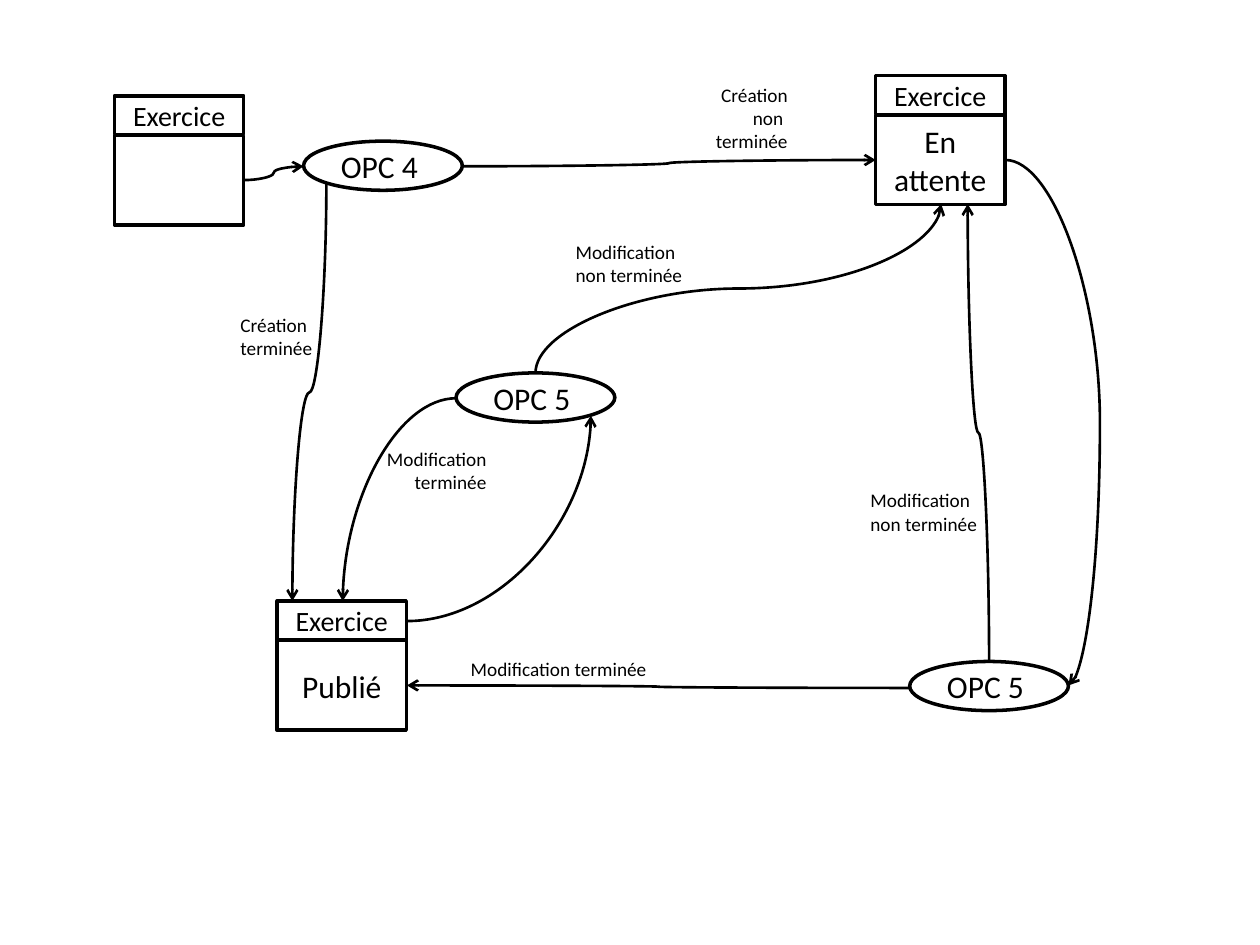
import pptx
import pptx.util
import pptx.dml.color
import pptx.enum.shapes
import pptx.enum.text
import pptx.oxml.ns
import lxml.etree

COLUMNS, ROWS = 100, 75
CELL = pptx.util.Inches(0.1)
FONT = "Calibri"
BLACK, WHITE = "000000", "FFFFFF"
LEFT = pptx.enum.text.PP_ALIGN.LEFT
CENTER = pptx.enum.text.PP_ALIGN.CENTER
RIGHT = pptx.enum.text.PP_ALIGN.RIGHT
RECTANGLE = pptx.enum.shapes.MSO_SHAPE.RECTANGLE
OVAL = pptx.enum.shapes.MSO_SHAPE.OVAL
STATE_WIDTH, HEADER_HEIGHT, BODY_OFFSET, BODY_HEIGHT = 10.25, 3.1, 3.15, 7.1
OPERATION_WIDTH, OPERATION_HEIGHT = 12.6, 3.9
HEADINGS = {"right": (0, 1, 0), "down": (90, 0, 1), "left": (180, -1, 0), "up": (270, 0, -1)}


def grid(*cells):
    return [round(cell * CELL) for cell in cells]


def color(value):
    return pptx.dml.color.RGBColor.from_string(value)


def set_line(line, points):
    line.color.rgb = color(BLACK)
    line.width = pptx.util.Pt(points)


def write(frame, lines, size, alignment):
    frame.word_wrap = True
    for index, text in enumerate(lines):
        paragraph = frame.paragraphs[0] if index == 0 else frame.add_paragraph()
        paragraph.alignment = alignment
        run = paragraph.add_run()
        run.text = text
        run.font.name = FONT
        run.font.size = pptx.util.Pt(size)
        run.font.color.rgb = color(BLACK)


def add_node(slide, kind, left, top, width, height, text, size):
    shape = slide.shapes.add_shape(kind, *grid(left, top, width, height))
    shape.shadow.inherit = False
    shape.fill.solid()
    shape.fill.fore_color.rgb = color(WHITE)
    set_line(shape.line, 2)
    shape.text_frame.vertical_anchor = pptx.enum.text.MSO_ANCHOR.MIDDLE
    if text:
        write(shape.text_frame, [text], size, CENTER)


def add_state(slide, left, top, state):
    add_node(slide, RECTANGLE, left, top, STATE_WIDTH, HEADER_HEIGHT, "Exercice", 16)
    add_node(slide, RECTANGLE, left, top + BODY_OFFSET, STATE_WIDTH, BODY_HEIGHT, state, 18)


def add_operation(slide, left, top, text):
    add_node(slide, OVAL, left, top, OPERATION_WIDTH, OPERATION_HEIGHT, text, 18)


def add_label(slide, left, top, width, height, lines, alignment):
    box = slide.shapes.add_textbox(*grid(left, top, width, height))
    write(box.text_frame, lines, 11, alignment)
    box.text_frame.auto_size = pptx.enum.text.MSO_AUTO_SIZE.SHAPE_TO_FIT_TEXT


def add_curve(slide, start, end, heading, geometry="curvedConnector3", bend=None):
    angle, across, down = HEADINGS[heading]
    run, rise = end[0] - start[0], end[1] - start[1]
    width, height = (abs(run), abs(rise)) if across else (abs(rise), abs(run))
    left = (start[0] + end[0] - width) / 2
    top = (start[1] + end[1] - height) / 2
    connector = slide.shapes.add_connector(
        pptx.enum.shapes.MSO_CONNECTOR.CURVE, *grid(left, top, left + width, top + height))
    set_line(connector.line, 1.5)
    name = pptx.oxml.ns.qn
    properties = connector._element.spPr
    transform = properties.find(name("a:xfrm"))
    if angle:
        transform.set("rot", str(angle * 60000))
    if across * rise - down * run < 0:
        transform.set("flipV", "1")
    preset = properties.find(name("a:prstGeom"))
    preset.set("prst", geometry)
    if bend is not None:
        lxml.etree.SubElement(preset.find(name("a:avLst")), name("a:gd"),
                              name="adj1", fmla=f"val {round(bend * 100000)}")
    lxml.etree.SubElement(properties.find(name("a:ln")), name("a:tailEnd"), type="arrow")
    lxml.etree.SubElement(properties, name("a:effectLst"))


def main():
    presentation = pptx.Presentation()
    presentation.slide_width, presentation.slide_height = grid(COLUMNS, ROWS)
    slide = presentation.slides.add_slide(presentation.slide_layouts[6])

    for state in [(9.1, 7.6, ""), (69.5, 6, "En attente"), (22, 47.7, "Publié")]:
        add_state(slide, *state)
    for operation in [(24.1, 11.2, "OPC 4 "), (72.2, 52.5, "OPC 5 "), (36.2, 29.6, "OPC 5 ")]:
        add_operation(slide, *operation)

    quarter = "curvedConnector2"
    curves = [
        ((19.3, 14.3), (24.1, 13.2), "right"),
        ((25.9, 14.6), (23.2, 47.7), "down"),
        ((36.7, 13.2), (69.5, 12.7), "right"),
        ((79.8, 12.7), (84.8, 54.4), "right", "curvedConnector3", 1.5),
        ((72.2, 54.6), (32.3, 54.4), "left"),
        ((78.5, 52.5), (76.8, 16.2), "up"),
        ((32.3, 49.3), (46.9, 33), "right", quarter),
        ((36.2, 31.6), (27.2, 47.7), "left", quarter),
        ((42.5, 29.6), (74.7, 16.2), "up"),
    ]
    for curve in curves:
        add_curve(slide, *curve)

    unfinished, finished = ["Modification non terminée"], ["Modification terminée"]
    labels = [
        (18.1, 24.4, 9.1, 4.7, ["Création terminée"], LEFT),
        (53.7, 6.1, 9.8, 6.6, ["Création non ", "terminée"], RIGHT),
        (68.1, 38.3, 11.4, 4.7, unfinished, LEFT),
        (36.2, 51.7, 16.1, 2.9, finished, RIGHT),
        (44.7, 18.6, 11.4, 4.7, unfinished, LEFT),
        (28.8, 35, 10.8, 4.7, finished, RIGHT),
    ]
    for label in labels:
        add_label(slide, *label)

    presentation.save("out.pptx")


main()
